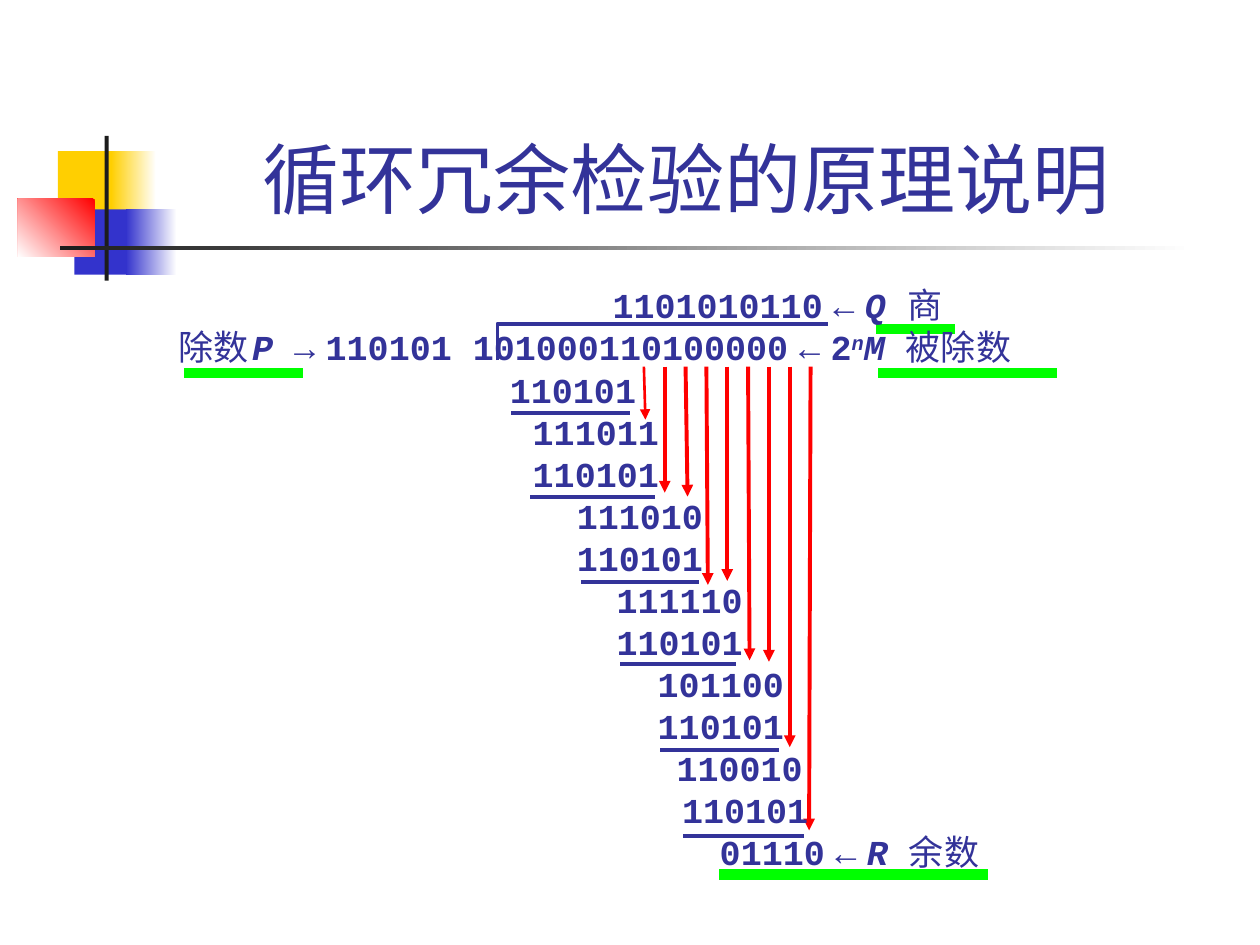
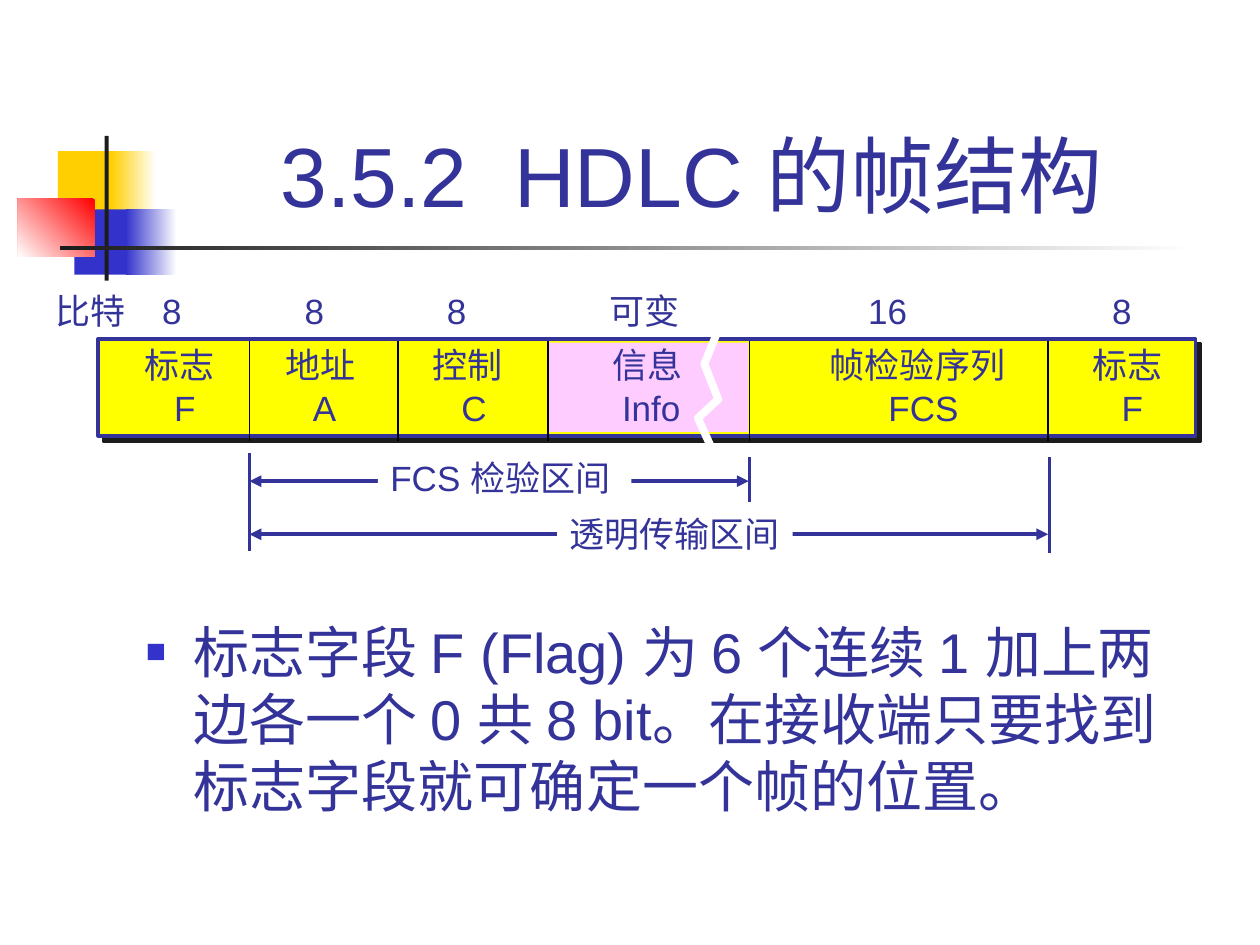
from dataclasses import dataclass

from lxml import etree
from pptx import Presentation
from pptx.dml.color import RGBColor
from pptx.enum.shapes import MSO_CONNECTOR, MSO_SHAPE
from pptx.enum.text import MSO_ANCHOR, PP_ALIGN
from pptx.oxml.ns import qn
from pptx.util import Cm, Pt

RECT = MSO_SHAPE.RECTANGLE
STRAIGHT = MSO_CONNECTOR.STRAIGHT
TOP, BOTTOM = MSO_ANCHOR.TOP, MSO_ANCHOR.BOTTOM
LEFT, CENTER = PP_ALIGN.LEFT, PP_ALIGN.CENTER


@dataclass(frozen=True)
class Theme:
    ink: str = "333399"
    blue: str = "3333CC"
    gold: str = "FFCF01"
    red: str = "FF0000"
    dark: str = "1C1C1C"
    black: str = "000000"
    white: str = "FFFFFF"
    green: str = "00FF00"
    yellow: str = "FFFF00"
    pink: str = "FFCCFF"
    sans: str = "Arial"
    mono: str = "Courier New"
    label: int = 20
    small: int = 10
    body: int = 32
    pitch: int = 24
    hair: float = 1
    thin: float = 1.5
    thick: float = 2.25
    wide: float = 4.5
    mark: float = 6


T = Theme()

PLAIN = {"name": T.sans, "size": Pt(T.label)}
DIGIT = {"name": T.mono, "size": Pt(T.label), "bold": True}
GAP = {**DIGIT, "size": Pt(T.small)}
NAME = {**DIGIT, "italic": True}
WORD = {**DIGIT, "bold": False}


def rgb(code):
    return RGBColor.from_string(code)


def sub(parent, tag, **attrs):
    node = etree.SubElement(parent, qn(tag))
    for key, value in attrs.items():
        node.set(key, str(value))
    return node


def apply(item, values):
    for key, value in values.items():
        setattr(item, key, value)


def stroke(shape, color, width):
    shape.line.color.rgb = rgb(color)
    shape.line.width = Pt(width)


def box(slide, place, fill, fade=None, angle=180):
    shape = slide.shapes.add_shape(RECT, *map(Cm, place))
    shape.shadow.inherit = False
    shape.line.fill.background()
    if fade:
        shape.fill.gradient()
        shape.fill.gradient_angle = angle
        for stop, code in zip(shape.fill.gradient_stops, (fill, fade)):
            stop.color.rgb = rgb(code)
    else:
        shape.fill.solid()
        shape.fill.fore_color.rgb = rgb(fill)
    return shape


def line(slide, start, end, color, width, ends=()):
    shape = slide.shapes.add_connector(STRAIGHT, *map(Cm, (*start, *end)))
    stroke(shape, color, width)
    props = shape._element.spPr
    for tag in ends:
        sub(props.find(qn("a:ln")), tag, type="triangle")
    sub(props, "a:effectLst")


def outline(slide, points, color, width):
    first, *rest = [(Cm(x), Cm(y)) for x, y in points]
    pen = slide.shapes.build_freeform(*first)
    pen.add_line_segments(rest, close=False)
    shape = pen.convert_to_shape()
    shape.shadow.inherit = False
    shape.fill.background()
    stroke(shape, color, width)


def text(slide, place, rows, wrap=False, anchor=TOP, align=LEFT, fill=None):
    shape = slide.shapes.add_textbox(*map(Cm, place))
    if fill:
        shape.fill.solid()
        shape.fill.fore_color.rgb = rgb(fill)
    frame = shape.text_frame
    apply(frame, {"word_wrap": wrap, "vertical_anchor": anchor})
    for i, (indent, runs) in enumerate(rows):
        para = frame.add_paragraph() if i else frame.paragraphs[0]
        para.alignment = align
        if indent:
            para._p.get_or_add_pPr().set("marL", str(Cm(indent)))
        for words, style in runs:
            run = para.add_run()
            run.text = words
            apply(run.font, style)
            run.font.color.rgb = rgb(T.ink)
    return frame


def base(deck, title, left, width, size):
    slide = deck.slides.add_slide(deck.slide_layouts[6])
    box(slide, (1.17, 3.05, 1.22, 1.32), T.gold)
    box(slide, (2.24, 3.05, 0.91, 1.32), T.white, T.gold)
    box(slide, (1.5, 4.22, 1.17, 1.32), T.blue)
    box(slide, (2.54, 4.22, 1.02, 1.32), T.white, T.blue)
    box(slide, (0.36, 4.01, 1.55, 1.17), T.red, T.white, 225)
    box(slide, (2.11, 2.74, 0.08, 2.92), T.dark)
    box(slide, (1.22, 4.95, 22.86, 0.09), T.white, T.dark)
    runs = [(title, {**PLAIN, "size": Pt(size)})]
    text(slide, (left, 0.58, width, 4.06), [(0, runs)], True, BOTTOM, CENTER)
    return slide


def arrow(sign):
    return [(" ", GAP), (sign, DIGIT), (" ", GAP)]


def rules(slide):
    outline(slide, [(10.03, 7.26), (10.03, 6.53), (16.69, 6.53)],
            T.ink, T.thick)
    drops = [(0.03, 8.46), (0, 9.93), (0.04, 10.01), (0.03, 11.79),
             (0, 11.71), (0.03, 13.31), (0, 13.34), (0, 15.06),
             (-0.03, 16.74)]
    for i, (lean, foot) in enumerate(drops):
        x = 12.98 + 0.42 * i
        line(slide, (x, 7.39), (x + lean, foot), T.red,
             T.thick if i else T.thin, ["a:tailEnd"])
    bars = [(10.31, 12.7, 8.33), (10.69, 13.21, 10.01),
            (11.71, 14.1, 11.73), (12.5, 14.83, 13.39),
            (13.31, 15.7, 15.11), (13.77, 16.21, 16.86)]
    marks = [(14.5, 19.91, 17.63), (17.7, 21.31, 7.52),
             (3.71, 6.1, 7.52), (17.65, 19.25, 6.63)]
    for group, color, width in ((bars, T.ink, T.thick),
                                (marks, T.green, T.mark)):
        for left, right, y in group:
            line(slide, (left, y), (right, y), color, width)


def division(deck):
    slide = base(deck, "循环冗余检验的原理说明 ", 3.2, 21.64, 44)
    rules(slide)
    steps = [
        (6.82, "110101"), (7.28, "111011"), (7.28, "110101"),
        (8.17, "111010"), (8.17, "110101"), (8.97, "111110"),
        (8.97, "110101"), (9.8, "101100"), (9.8, "110101"),
        (10.18, "110010"), (10.29, "110101"),
    ]
    rows = [
        (8.89, [("1101010110", DIGIT), *arrow("←"),
                ("Q ", NAME), ("商", WORD)]),
        (0.13, [("除数", WORD), (" ", GAP), ("P ", NAME), ("→", DIGIT),
                (" ", GAP), ("110101 101000110100000", DIGIT),
                *arrow("←"), ("2", DIGIT), ("n", NAME), ("M ", NAME),
                ("被除数", WORD)]),
        *[(indent, [(bits, DIGIT)]) for indent, bits in steps],
        (11.05, [("01110", DIGIT), *arrow("←"),
                 ("R ", NAME), ("余数", WORD)]),
    ]
    frame = text(slide, (3.21, 5.6, 18.72, 12.12), rows, True)
    for para in frame.paragraphs:
        para.line_spacing = Pt(T.pitch)
    power = next(r for r in frame.paragraphs[1].runs if r.text == "n")
    power.font._element.set("baseline", "30000")


def bullet(para):
    props = para._p.get_or_add_pPr()
    props.set("marL", str(Cm(0.97)))
    props.set("indent", str(-Cm(0.97)))
    para.space_before = Pt(8)
    sub(sub(props, "a:buClr"), "a:srgbClr", val=T.blue)
    sub(props, "a:buSzPct", val=60000)
    sub(props, "a:buFont", typeface=T.sans)
    sub(props, "a:buChar", char="■")


def shade(shape):
    effects = shape._element.spPr.find(qn("a:effectLst"))
    cast = sub(effects, "a:outerShdw", blurRad=0, dist=Pt(4.2),
               dir=2700000, algn="ctr", rotWithShape=0)
    sub(cast, "a:srgbClr", val=T.dark)


def hdlc(deck):
    slide = base(deck, "3.5.2  HDLC 的帧结构", 2.49, 22.91, 48)
    words = ("标志字段 F (Flag) 为 6 个连续 1 加上两边各一个 0 共 8 bit。"
             "在接收端只要找到标志字段就可确定一个帧的位置。")
    note = text(slide, (2.69, 12.32, 21.59, 5.18),
                [(0, [(words, {**PLAIN, "size": Pt(T.body)})])], True)
    bullet(note.paragraphs[0])

    band = box(slide, (1.98, 6.83, 22.12, 1.96), T.yellow)
    stroke(band, T.ink, 2)
    shade(band)
    box(slide, (11.07, 6.91, 4.01, 1.8), T.pink)
    for x in (5.03, 8.03, 11.05, 15.11, 21.13):
        line(slide, (x, 6.88), (x, 8.88), T.black, T.hair)

    counts = [(0.86, 1.93, "比特"), (3.02, 0.89, "8"), (5.89, 0.89, "8"),
              (8.76, 0.89, "8"), (12.04, 1.93, "可变"),
              (17.25, 1.3, "16"), (22.17, 0.89, "8")]
    for x, width, words in counts:
        text(slide, (x, 5.72, width, 1.09), [(0, [(words, PLAIN)])])

    fields = [(2.67, 1.93, "标志", 0.59, "F"),
              (5.51, 1.93, "地址", 0.55, "A"),
              (8.46, 1.93, "控制", 0.59, "C"),
              (12.09, 1.93, "信息", 0.2, "Info"),
              (16.48, 4.04, "帧检验序列", 1.18, "FCS"),
              (21.77, 1.93, "标志", 0.59, "F")]
    for x, width, words, indent, code in fields:
        text(slide, (x, 6.81, width, 1.93),
             [(0, [(words, PLAIN)]), (indent, [(code, PLAIN)])])

    outline(slide, [(14.48, 6.65), (14.2, 7.34), (14.48, 8.05),
                    (14.07, 8.43), (14.43, 9.22)], T.white, T.wide)
    for x, top, foot in ((5.03, 9.14, 11.1), (15.11, 9.22, 10.11),
                         (21.16, 9.22, 11.15)):
        line(slide, (x, top), (x, foot), T.ink, T.thin)
    spans = [(15.09, 9.7, (7.62, 9.07, 5.11, 1.09), "FCS 检验区间"),
             (21.13, 10.77, (11.23, 10.21, 4.75, 1.09), "透明传输区间")]
    for right, y, place, words in spans:
        line(slide, (5.03, y), (right, y), T.ink, T.thick,
             ["a:headEnd", "a:tailEnd"])
        text(slide, place, [(0, [(words, PLAIN)])], fill=T.white)


def main():
    deck = Presentation()
    deck.slide_width, deck.slide_height = Cm(25.4), Cm(19.05)
    division(deck)
    hdlc(deck)
    deck.save("out.pptx")


main()
